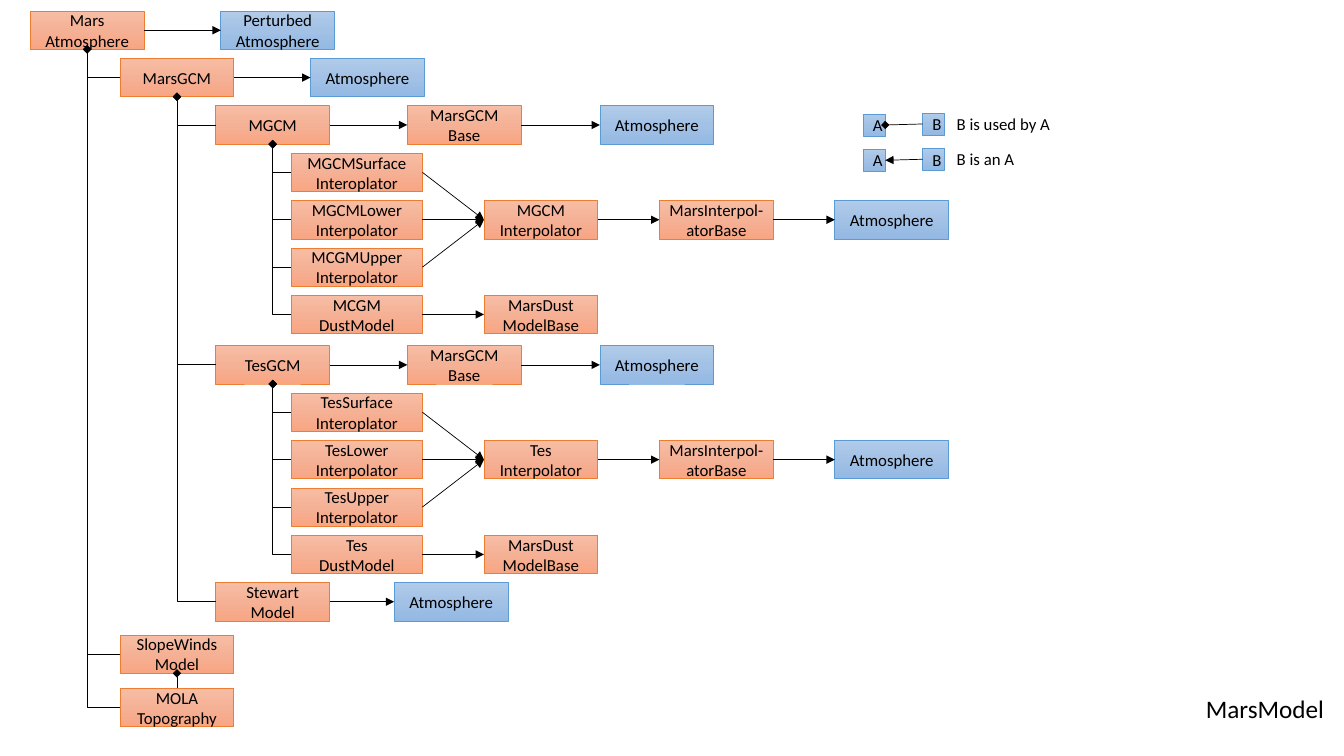
from copy import deepcopy
from lxml import etree
from pptx import Presentation
from pptx.dml.color import RGBColor
from pptx.enum.shapes import MSO_CONNECTOR, MSO_SHAPE
from pptx.enum.text import MSO_ANCHOR, MSO_AUTO_SIZE, PP_ALIGN
from pptx.oxml.ns import qn
from pptx.util import Pt

RECT = MSO_SHAPE.RECTANGLE
STRAIGHT, ELBOW = MSO_CONNECTOR.STRAIGHT, MSO_CONNECTOR.ELBOW
LEFT, CENTER = PP_ALIGN.LEFT, PP_ALIGN.CENTER
MIDDLE, TOP = MSO_ANCHOR.MIDDLE, MSO_ANCHOR.TOP
FIT = MSO_AUTO_SIZE.SHAPE_TO_FIT_TEXT
N, W, S, E = range(4)

PX = 9144
WIDE, TALL = 113, 38
LONG = 130
ROW = 47
FONT = "Calibri"
HEX = {
    "ink": "000000",
    "rust": ["F7BDA5", "F5B196", "F8A582"],
    "rust line": "ED7D31",
    "blue": ["B1CBE9", "A3C1E5", "93B9E4"],
    "blue line": "5B9BD5",
}


def rgb(code):
    return RGBColor.from_string(code)


def write(frame, text, size=12, align=LEFT):
    for i, part in enumerate(text.split("\n")):
        para = frame.add_paragraph() if i else frame.paragraphs[0]
        para.alignment = align
        run = para.add_run()
        run.text = part
        run.font.size = Pt(size)
        run.font.name = FONT
        run.font.color.rgb = rgb(HEX["ink"])


def shade(shape, tones):
    fill = shape.fill
    fill.gradient()
    fill.gradient_angle = 270
    stops = shape._element.spPr.find(".//" + qn("a:gsLst"))
    stops.insert(1, deepcopy(stops[0]))
    for i, (stop, tone) in enumerate(zip(fill.gradient_stops, tones)):
        stop.position = i / 2
        stop.color.rgb = rgb(tone)


def box(slide, text, x, y, w=WIDE, h=TALL, hue="rust"):
    shape = slide.shapes.add_shape(RECT, x * PX, y * PX, w * PX, h * PX)
    shape.shadow.inherit = False
    shade(shape, HEX[hue])
    shape.line.color.rgb = rgb(HEX[hue + " line"])
    shape.line.width = Pt(0.5)
    frame = shape.text_frame
    frame.word_wrap = True
    frame.vertical_anchor = MIDDLE
    write(frame, text, align=CENTER)
    return shape


def link(slide, a, b, head=None, tail=None, ends=(E, W), kind=STRAIGHT):
    line = slide.shapes.add_connector(kind, 0, 0, 0, 0)
    line.begin_connect(a, ends[0])
    line.end_connect(b, ends[1])
    line.line.color.rgb = rgb(HEX["ink"])
    line.line.width = Pt(0.5)
    props = line._element.spPr
    for tag, mark in (("a:headEnd", head), ("a:tailEnd", tail)):
        if mark:
            etree.SubElement(props.find(qn("a:ln")), qn(tag), type=mark)
    etree.SubElement(props, qn("a:effectLst"))
    return line


def arrow(slide, a, b):
    link(slide, a, b, tail="triangle")


def branch(slide, a, b):
    line = link(slide, a, b, head="diamond", ends=(S, W), kind=ELBOW)
    x, y, w, h = line.left, line.top, line.width, line.height
    line.left, line.top = x + (w - h) // 2, y + (h - w) // 2
    line.width, line.height = h, w
    props = line._element.spPr
    turn = props.find(qn("a:xfrm"))
    turn.set("rot", "16200000")
    turn.set("flipH", "1")
    props.find(qn("a:prstGeom")).set("prst", "bentConnector2")


def chain(slide, start, y, items):
    last = start
    for text, x, hue in items:
        item = box(slide, text, x, y, hue=hue)
        arrow(slide, last, item)
        last = item


def family(slide, x, y, name, short, parts):
    top = box(slide, name, x, y)
    chain(slide, top, y, [("MarsGCM\nBase", x + 190, "rust"),
                          ("Atmosphere", x + 381, "blue")])
    rows = [box(slide, part, x + 75, y + ROW * i, LONG)
            for i, part in enumerate(parts, 1)]
    for row in rows:
        branch(slide, top, row)
    mid = y + ROW * 2
    hub = box(slide, short + "\nInterpolator", x + 266, mid)
    for row in rows[:3]:
        arrow(slide, row, hub)
    chain(slide, hub, mid, [("MarsInterpol-atorBase", x + 440, "rust"),
                            ("Atmosphere", x + 614, "blue")])
    chain(slide, rows[3], y + ROW * 4,
          [("MarsDust\nModelBase", x + 266, "rust")])
    return top


def tree(slide, x, y):
    root = box(slide, "Mars\nAtmosphere", x, y)
    chain(slide, root, y, [("Perturbed\nAtmosphere", x + 189, "blue")])
    gcm = box(slide, "MarsGCM", x + 89, y + 47)
    chain(slide, gcm, y + 47, [("Atmosphere", x + 278, "blue")])
    mgcm = family(slide, x + 184, y + 94, "MGCM", "MGCM",
                  ["MGCMSurface\nInteroplator", "MGCMLower\nInterpolator",
                   "MCGMUpper\nInterpolator", "MCGM\nDustModel"])
    tes = family(slide, x + 184, y + 332, "TesGCM", "Tes",
                 ["TesSurface\nInteroplator", "TesLower\nInterpolator",
                  "TesUpper\nInterpolator", "Tes\nDustModel"])
    stew = box(slide, "Stewart\nModel", x + 184, y + 567)
    chain(slide, stew, y + 567, [("Atmosphere", x + 361, "blue")])
    for child in (mgcm, tes, stew):
        branch(slide, gcm, child)
    slope = box(slide, "SlopeWinds\nModel", x + 89, y + 619)
    mola = box(slide, "MOLA\nTopography", x + 89, y + 672)
    for child in (gcm, slope, mola):
        branch(slide, root, child)
    link(slide, mola, slope, tail="diamond", ends=(N, S))


def legend(slide, x, y):
    rows = [("B is used by A", "diamond", 114), ("B is an A", "triangle", 78)]
    for i, (text, mark, w) in enumerate(rows):
        top = y + 35 * i
        a = box(slide, "A", x, top + 5, 22, 22, "blue")
        b = box(slide, "B", x + 59, top + 4, 22, 22, "blue")
        link(slide, b, a, tail=mark, ends=(W, E))
        note = slide.shapes.add_textbox((x + 83) * PX, top * PX, w * PX, 30 * PX)
        note.text_frame.word_wrap = False
        note.text_frame.auto_size = FIT
        write(note.text_frame, text)


def title(slide, x, y, w, h):
    head = slide.shapes.title
    head.left, head.top, head.width, head.height = (v * PX for v in (x, y, w, h))
    frame = head.text_frame
    frame.word_wrap = False
    frame.auto_size = FIT
    frame.vertical_anchor = TOP
    write(frame, "MarsModel", 18)


def main():
    deck = Presentation()
    deck.slide_width, deck.slide_height = 1333 * PX, 750 * PX
    slide = deck.slides.add_slide(deck.slide_layouts[5])
    tree(slide, 30, 11)
    legend(slide, 856, 108)
    title(slide, 1186, 683, 139, 40)
    deck.save("out.pptx")


if __name__ == "__main__":
    main()
